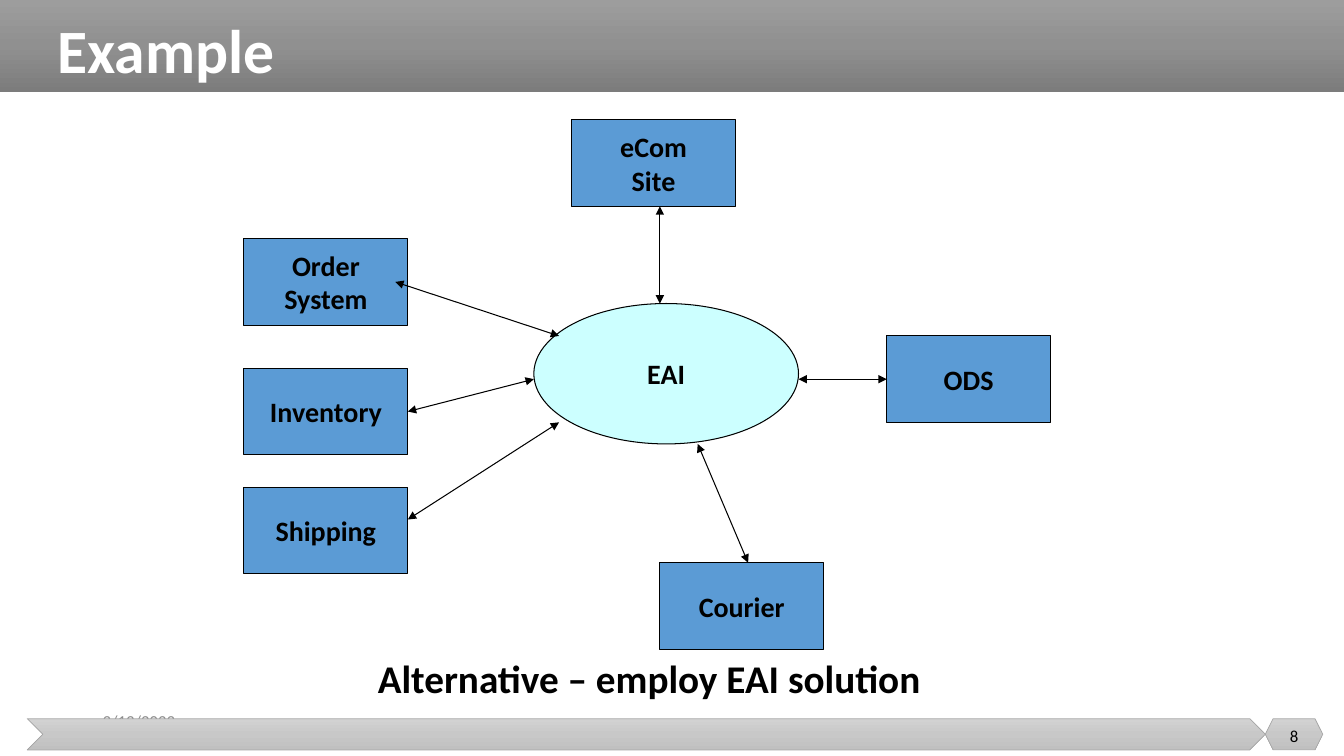
import copy

import pptx
import pptx.dml.color
import pptx.enum.shapes
import pptx.enum.text
import pptx.oxml
import pptx.oxml.ns
import pptx.util

W, H = 13.33, 7.5
COLS, ROWS = 64, 49
COLORS = {
    "black": "000000", "white": "FFFFFF", "date": "8C8C8C", "edge": "A5A5A5",
    "system": "5B9BD5", "hub": "CCFFFF",
}
BANNER = ("9D9D9D", "909090", "7C7C7C")
FOOTER = ("D2D2D2", "C8C8C8", "C0C0C0")
SHAPE = pptx.enum.shapes.MSO_SHAPE
ALIGN = pptx.enum.text.PP_ALIGN
ANCHOR = pptx.enum.text.MSO_ANCHOR
LABEL = {"size": 20, "bold": True, "align": ALIGN.CENTER, "wrap": False}

SYSTEMS = {
    "eCom\nSite": (26, 0), "Courier": (33, 41), "Shipping": (0, 34),
    "Inventory": (0, 23), "Order\nSystem": (0, 11), "ODS": (51, 20),
}
SYSTEM_SIZE = (13, 8)
HUB = (23, 17, 21, 13)
LINKS = [
    ("eCom\nSite", (33, 8), (33, 17)), ("ODS", (51, 24), (44, 24)),
    ("Courier", (40, 41), (36, 30)), ("Shipping", (13, 37), (25, 28)),
    ("Inventory", (13, 27), (23, 24)), ("Order\nSystem", (12, 15), (25, 20)),
]
JOINTS = {"ODS": 1, "Inventory": 3}


def rgb(value):
    """Return the colour for a hex string."""
    return pptx.dml.color.RGBColor.from_string(value)


def inches(values):
    """Turn lengths in inches into slide units."""
    return [pptx.util.Inches(v) for v in values]


def write(sp, text, size, color="black", bold=False, align=ALIGN.LEFT,
          anchor=ANCHOR.MIDDLE, wrap=True, spacing=1.0):
    """Write the lines of text into a shape."""
    tf = sp.text_frame
    for name, value in {"word_wrap": wrap, "vertical_anchor": anchor}.items():
        setattr(tf, name, value)
    for i, line in enumerate(text.split("\n")):
        p = tf.add_paragraph() if i else tf.paragraphs[0]
        p.alignment, p.line_spacing = align, spacing
        r = p.add_run()
        r.text = line
        font = {"name": "Calibri", "size": pptx.util.Pt(size), "bold": bold}
        for name, value in font.items():
            setattr(r.font, name, value)
        r.font.color.rgb = rgb(COLORS[color])


def add_text(s, box, text, **style):
    """Add a text box."""
    write(s.shapes.add_textbox(*inches(box)), text, **style)


def add_shape(s, kind, box, fill, line=None, weight=0.75):
    """Add a shape with a plain fill or a downward three-stop gradient."""
    sp = s.shapes.add_shape(kind, *inches(box))
    sp.shadow.inherit = False
    if isinstance(fill, str):
        sp.fill.solid()
        sp.fill.fore_color.rgb = rgb(COLORS[fill])
    else:
        sp.fill.gradient()
        sp.fill.gradient_angle = 270
        stops = sp._element.spPr.find(".//" + pptx.oxml.ns.qn("a:gsLst"))
        stops.insert(1, copy.deepcopy(stops[0]))
        for i, stop in enumerate(sp.fill.gradient_stops):
            stop.position = i / 2
            stop.color.rgb = rgb(fill[i])
    if line:
        sp.line.color.rgb = rgb(COLORS[line])
        sp.line.width = pptx.util.Pt(weight)
    else:
        sp.line.fill.background()
    return sp


def add_link(s, start, end, system, joint):
    """Add a double-headed arrow, joined to a system's side if one is given."""
    kind = pptx.enum.shapes.MSO_CONNECTOR.STRAIGHT
    c = s.shapes.add_connector(kind, *inches(start + end))
    if joint is not None:
        c.begin_connect(system, joint)
    c.line.color.rgb = rgb(COLORS["black"])
    c.line.width = pptx.util.Pt(0.75)
    ln = c.line._get_or_add_ln()
    for tag in ("a:headEnd", "a:tailEnd"):
        end_mark = pptx.oxml.ns.qn(tag)
        ln.append(ln.makeelement(end_mark, {"type": "triangle"}))
    spPr = c._element.spPr
    spPr.append(spPr.makeelement(pptx.oxml.ns.qn("a:effectLst"), {}))


def build_header(s, x, y, w, h):
    """Draw the banner and its title."""
    add_shape(s, SHAPE.RECTANGLE, (x, y, w, h), BANNER)
    add_text(s, (x + 0.47, y - 0.09, 9, 1.25), "Example", size=44,
             color="white", bold=True, spacing=0.9)


def build_footer(s, x, y, w, h):
    """Draw the date, the long chevron and the page number."""
    page_w = 0.57
    page_x = x + w - page_w
    add_text(s, (x + 0.65, y - 0.18, 3, 0.4), "3/13/2023", size=12, color="date")
    add_shape(s, SHAPE.CHEVRON, (x, y, w - page_w, h), FOOTER, "edge", 0.5)
    add_shape(s, SHAPE.HEXAGON, (page_x, y, page_w, h), FOOTER, "edge", 0.5)
    add_text(s, (page_x, y - 0.03, page_w, 0.4), "8", size=12,
             align=ALIGN.CENTER)


def build_diagram(s, x, y, w, h):
    """Draw the systems around the hub on a grid, with their links."""
    cw, rh = w / COLS, h / ROWS

    def at(col, row):
        return x + col * cw, y + row * rh

    def box(col, row, cols, rows):
        return at(col, row) + (cols * cw, rows * rh)

    systems = {}
    for name, cell in SYSTEMS.items():
        systems[name] = add_shape(s, SHAPE.RECTANGLE, box(*cell, *SYSTEM_SIZE),
                                  "system", "black")
        write(systems[name], name, **LABEL)
    write(add_shape(s, SHAPE.OVAL, box(*HUB), "hub", "black"), "EAI", **LABEL)
    for name, start, end in LINKS:
        add_link(s, at(*start), at(*end), systems[name], JOINTS.get(name))


def build_caption(s, x, y, w, h):
    """Write the line below the diagram."""
    add_text(s, (x, y, w, h), "Alternative – employ EAI solution", size=28,
             bold=True, anchor=ANCHOR.TOP, wrap=False)


def main():
    """Build the slide and save it."""
    prs = pptx.Presentation()
    prs.slide_width, prs.slide_height = inches((W, H))
    s = prs.slides.add_slide(prs.slide_layouts[6])
    build_footer(s, 0.27, 7.13, 12.85, 0.31)
    build_header(s, 0, 0, W, 0.91)
    build_diagram(s, 2.42, 1.19, 8, 5.25)
    build_caption(s, 3.65, 6.44, 5.65, 0.57)
    prs.save("out.pptx")


if __name__ == "__main__":
    main()
